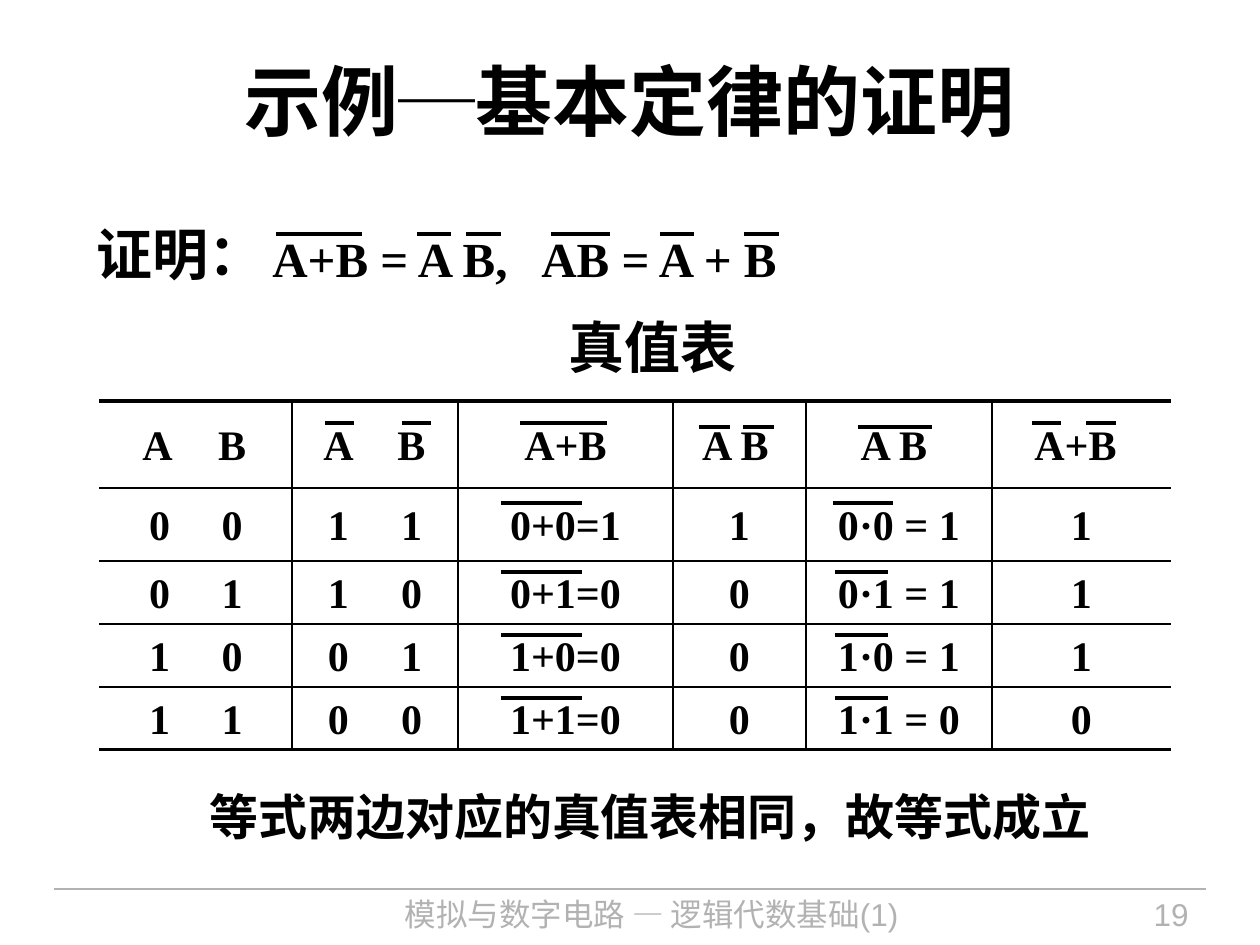
from lxml import etree
from pptx import Presentation
from pptx.dml.color import RGBColor
from pptx.enum.shapes import MSO_CONNECTOR
from pptx.enum.text import MSO_ANCHOR, PP_ALIGN
from pptx.oxml.ns import qn
from pptx.util import Pt

STRAIGHT = MSO_CONNECTOR.STRAIGHT
TOP, MIDDLE = MSO_ANCHOR.TOP, MSO_ANCHOR.MIDDLE
LEFT, CENTER, RIGHT = PP_ALIGN.LEFT, PP_ALIGN.CENTER, PP_ALIGN.RIGHT
SCALE = 914400 / 126
COLORS = {"ink": "000000", "grey": "B2B2B2"}
SANS, SERIF = "Arial", "Times New Roman"
PLAIN = "{2D5ABB26-0587-4C30-8999-92F81FD0307C}"


def px(length):
    return round(length * SCALE)


class Page:
    def __init__(self, slide):
        self.slide = slide
        self.style = {"size": Pt(24), "bold": True}

    def fill(self, frame, runs, align=CENTER, color="ink", **style):
        para = frame.paragraphs[0]
        para.alignment = align
        for text, face in runs:
            run = para.add_run()
            run.text = text
            look = {**self.style, **style, "name": face}
            for key, value in look.items():
                setattr(run.font, key, value)
            run.font.color.rgb = RGBColor.from_string(COLORS[color])
        return para

    def text(self, area, runs, anchor=TOP, wrap=True, **style):
        box = self.slide.shapes.add_textbox(*map(px, area))
        frame = box.text_frame
        form = {"word_wrap": wrap, "vertical_anchor": anchor}
        for key, value in form.items():
            setattr(frame, key, value)
        return self.fill(frame, runs, **style)

    def tab(self, para, place):
        props = para._p.get_or_add_pPr()
        stops = etree.SubElement(props, qn("a:tabLst"))
        etree.SubElement(stops, qn("a:tab"), pos=str(px(place)), algn="l")

    def line(self, left, right, y, width=2.25, color="ink"):
        line = self.slide.shapes.add_connector(
            STRAIGHT, px(left), px(y), px(right), px(y))
        line.line.width = Pt(width)
        line.line.color.rgb = RGBColor.from_string(COLORS[color])
        etree.SubElement(line._element.spPr, qn("a:effectLst"))

    def border(self, cell, widths):
        props = cell._tc.get_or_add_tcPr()
        for spot, (side, width) in enumerate(zip("LRTB", widths)):
            edge = etree.Element(qn("a:ln" + side), w=str(int(Pt(width))))
            if width:
                paint = etree.SubElement(edge, qn("a:solidFill"))
                etree.SubElement(paint, qn("a:srgbClr"), val=COLORS["ink"])
            else:
                etree.SubElement(edge, qn("a:noFill"))
            props.insert(spot, edge)

    def table(self, rows, xs, ys, pads, shifts, walls, rules):
        frame = self.slide.shapes.add_table(
            len(rows), len(xs) - 1, px(xs[0]), px(ys[0]),
            px(xs[-1] - xs[0]), px(ys[-1] - ys[0]))
        table = frame.table
        table.first_row = table.horz_banding = False
        table._tbl.tblPr.find(qn("a:tableStyleId")).text = PLAIN
        for parts, ends, name in ((table.columns, xs, "width"),
                                  (table.rows, ys, "height")):
            for part, start, end in zip(parts, ends, ends[1:]):
                setattr(part, name, px(end - start))
        for r, row in enumerate(rows):
            for c, text in enumerate(row):
                cell = table.cell(r, c)
                near, far = pads[c]
                form = {"margin_left": px(near),
                        "margin_right": px(far + (0 if r else shifts[c])),
                        "margin_top": px(4), "margin_bottom": 0,
                        "vertical_anchor": MIDDLE}
                for key, value in form.items():
                    setattr(cell, key, value)
                cell.fill.background()
                self.border(cell, (*walls[c:c + 2], *rules[r:r + 2]))
                self.fill(cell.text_frame, [(text, SERIF)])


deck = Presentation()
deck.slide_width, deck.slide_height = px(1260), px(945)
page = Page(deck.slides.add_slide(deck.slide_layouts[6]))

page.line(54, 1206, 889, 0.75, "grey")
foot = {"size": Pt(18), "bold": False, "color": "grey"}
page.text((314, 889, 675, 56), [("模拟与数字电路 — 逻辑代数基础(1)", SANS)], **foot)
page.text((1033, 889, 168, 56), [("19", SANS)], align=RIGHT, **foot)

page.text((63, 21, 1134, 158), [("示例─", SERIF), ("基本定律的证明", SANS)],
          anchor=MIDDLE, size=Pt(44))
for area, words, size in (
        ((84, 213, 193, 80), "证明：", 32),
        ((556, 306, 193, 80), "真值表", 32),
        ((197, 780, 906, 72), "等式两边对应的真值表相同，故等式成立", 28)):
    page.text(area, [(words, SANS)], wrap=False, size=Pt(size))

proof = page.text((260, 222, 543, 72), [("A+B = A B,\tAB = A + B", SERIF)],
                  anchor=MIDDLE, align=LEFT, size=Pt(28))
page.tab(proof, 269)

rows = [["A", "B", "A", "B", "A+B", "A B", "A B", "A+B"]]
for a in (0, 1):
    for b in (0, 1):
        rows.append([str(a), str(b), str(1 - a), str(1 - b),
                     f"{a}+{b}={1 - (a | b)}", str(1 - (a | b)),
                     f"{a}·{b} = {1 - (a & b)}", str(1 - (a & b))])
page.table(
    rows,
    xs=(99, 196, 292, 375, 458, 673, 806, 992, 1171),
    ys=(401, 488, 561, 624, 687, 750),
    pads=[(24, 0), (0, 24), (10, 0), (0, 10)] + [(0, 0)] * 4,
    shifts=(4, 0, 0, 0, 0, 8, 10, 12),
    walls=(0, 0, 1, 0, 1, 1, 1, 1, 0),
    rules=(2, 1, 0.75, 0.75, 0.75, 2))

bars = {
    234: ((276, 362), (417, 451), (466, 501), (551, 610), (660, 694), (744, 779)),
    423: ((325, 354), (402, 431), (520, 607), (1032, 1061), (1086, 1116)),
    427: ((699, 730), (743, 774), (858, 932)),
    503: ((501, 582), (833, 893)),
}
for y in (572, 635, 698):
    bars[y] = ((501, 582), (835, 888))
for y, spans in bars.items():
    for left, right in spans:
        page.line(left, right, y)

deck.save("out.pptx")
